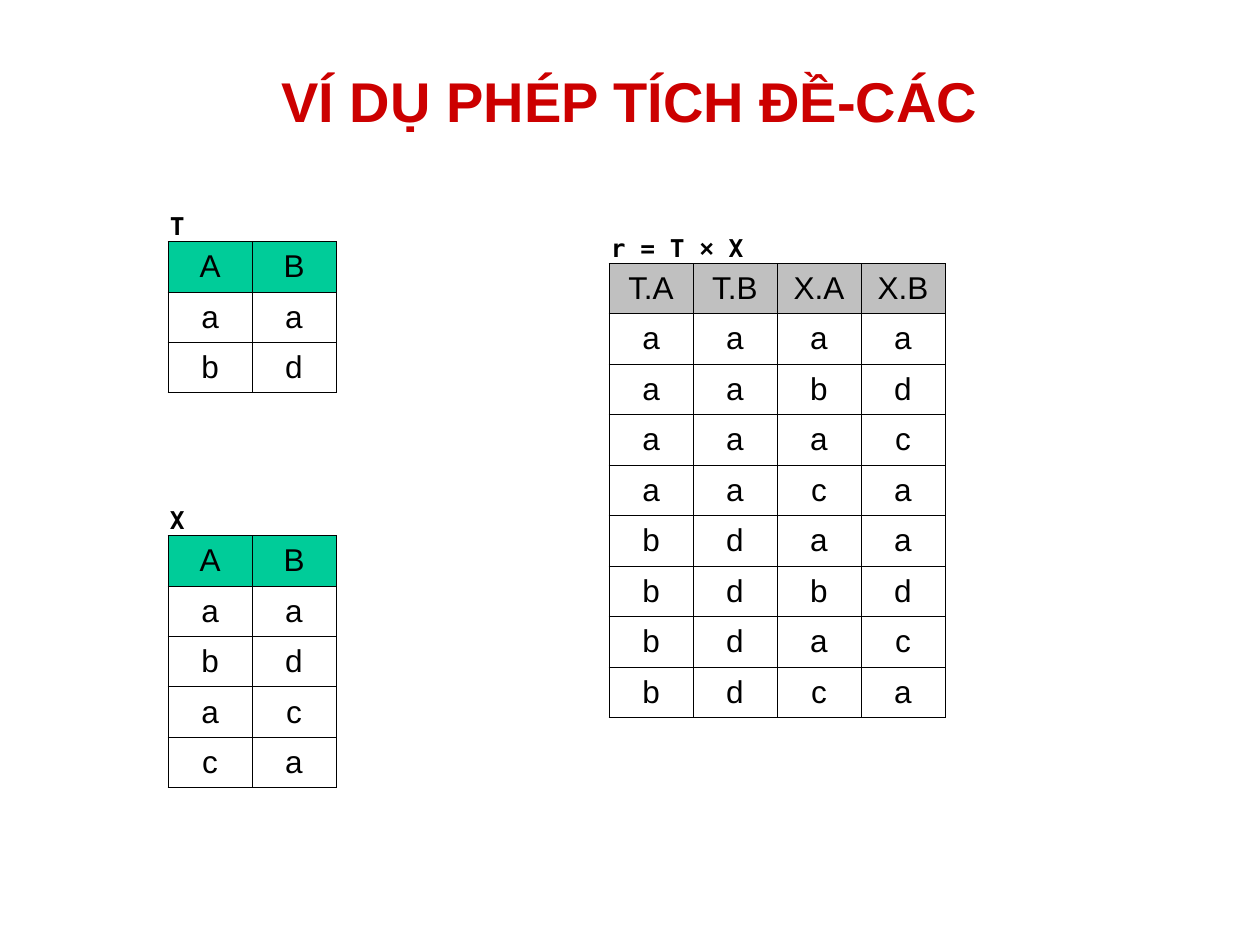
"""Build a slide that shows the Cartesian product of relations T and X."""
from dataclasses import dataclass
from itertools import product

from lxml import etree
from pptx import Presentation
from pptx.dml.color import RGBColor
from pptx.enum.text import MSO_ANCHOR, PP_ALIGN
from pptx.oxml.ns import qn
from pptx.util import Pt

RED = RGBColor(0xCC, 0x00, 0x00)
GREEN = RGBColor(0x00, 0xCC, 0x99)
GRAY = RGBColor(0xC0, 0xC0, 0xC0)
BLACK = RGBColor(0x00, 0x00, 0x00)
CENTER = PP_ALIGN.CENTER
LEFT = PP_ALIGN.LEFT
MIDDLE = MSO_ANCHOR.MIDDLE
SANS = "Arial"
MONO = "DejaVu Sans Mono"
TITLE_ONLY = 5
COLUMN_WIDTH = Pt(48)
ROW_HEIGHT = Pt(28.8)
BORDER_WIDTH = Pt(0.45)

T_ROWS = ("aa", "bd")
X_ROWS = ("aa", "bd", "ac", "ca")
PRODUCT_ROWS = tuple(t + x for t, x in product(T_ROWS, X_ROWS))


@dataclass(frozen=True)
class Relation:
    """A captioned table, with its caption as pairs of text and font."""
    caption: tuple
    left: int
    top: int
    header: tuple
    rows: tuple
    header_color: RGBColor


RELATIONS = (
    Relation((("T", MONO),), Pt(96), Pt(138), ("A", "B"), T_ROWS, GREEN),
    Relation((("X", MONO),), Pt(96), Pt(306), ("A", "B"), X_ROWS, GREEN),
    Relation((("r = T ", MONO), ("×", SANS), (" X", MONO)), Pt(348), Pt(150.5),
             ("T.A", "T.B", "X.A", "X.B"), PRODUCT_ROWS, GRAY),
)


def write_text(paragraph, text: str, *, size: float, font: str = SANS,
               color: RGBColor = BLACK, bold: bool = False, align=LEFT) -> None:
    """Add one formatted run to a paragraph."""
    paragraph.alignment = align
    run = paragraph.add_run()
    run.text = text
    run.font.name = font
    run.font.size = Pt(size)
    run.font.bold = bold
    run.font.color.rgb = color


def add_borders(cell) -> None:
    """Draw thin black lines on all four sides of a cell."""
    properties = cell._tc.get_or_add_tcPr()
    for side in ("a:lnL", "a:lnR", "a:lnT", "a:lnB"):
        line = etree.SubElement(properties, qn(side), w=str(BORDER_WIDTH))
        fill = etree.SubElement(line, qn("a:solidFill"))
        etree.SubElement(fill, qn("a:srgbClr"), val=str(BLACK))


def draw_table(slide, relation: Relation) -> None:
    """Draw the header and rows of a relation."""
    rows = (relation.header, *relation.rows)
    columns = len(relation.header)
    table = slide.shapes.add_table(
        len(rows), columns, relation.left, relation.top,
        COLUMN_WIDTH * columns, ROW_HEIGHT * len(rows)).table
    table.first_row = False
    table.horz_banding = False
    for row_index, values in enumerate(rows):
        table.rows[row_index].height = ROW_HEIGHT
        for column_index, value in enumerate(values):
            table.columns[column_index].width = COLUMN_WIDTH
            cell = table.cell(row_index, column_index)
            cell.vertical_anchor = MIDDLE
            add_borders(cell)
            if row_index == 0:
                cell.fill.solid()
                cell.fill.fore_color.rgb = relation.header_color
            else:
                cell.fill.background()
            paragraph = cell.text_frame.paragraphs[0]
            paragraph.space_before = Pt(4.5)
            write_text(paragraph, value, size=18, align=CENTER)


def draw_caption(slide, relation: Relation) -> None:
    """Draw the name of a relation just above its table."""
    shape = slide.shapes.add_textbox(
        relation.left - Pt(6), relation.top - Pt(24), Pt(156), Pt(30))
    frame = shape.text_frame
    frame.word_wrap = True
    frame.vertical_anchor = MIDDLE
    for text, font in relation.caption:
        write_text(frame.paragraphs[0], text, size=14, font=font, bold=True)


def draw_title(slide, text: str) -> None:
    """Place and format the title placeholder."""
    title = slide.shapes.title
    title.left, title.top, title.width, title.height = Pt(36), Pt(12), Pt(648), Pt(90)
    title.text_frame.vertical_anchor = MIDDLE
    write_text(title.text_frame.paragraphs[0], text, size=32, color=RED,
               bold=True, align=CENTER)


def main() -> None:
    """Build and save the presentation."""
    presentation = Presentation()
    presentation.slide_width = Pt(720)
    presentation.slide_height = Pt(540)
    slide = presentation.slides.add_slide(presentation.slide_layouts[TITLE_ONLY])
    draw_title(slide, "VÍ DỤ PHÉP TÍCH ĐỀ-CÁC")
    for relation in RELATIONS:
        draw_table(slide, relation)
        draw_caption(slide, relation)
    presentation.save("out.pptx")


if __name__ == "__main__":
    main()
